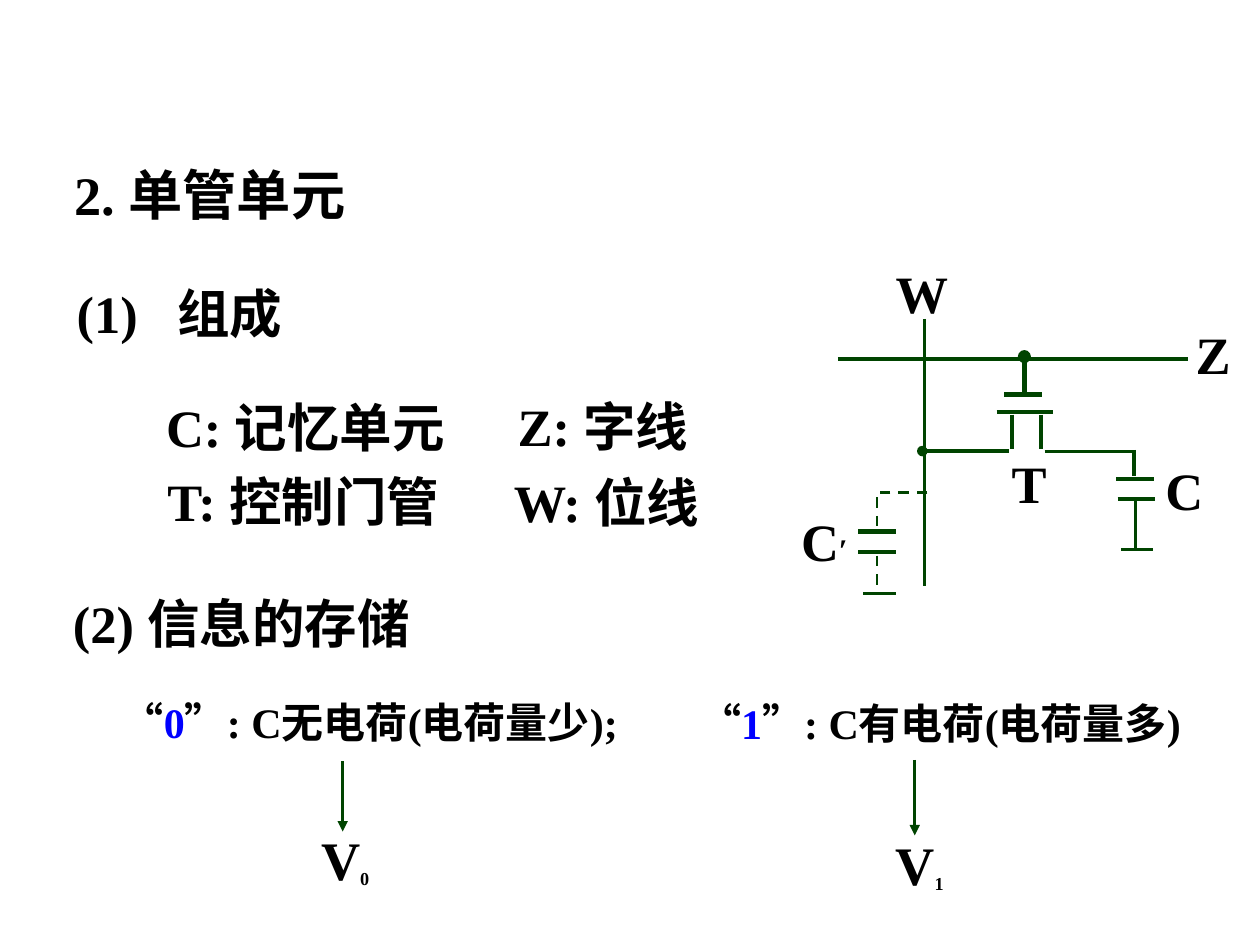
from dataclasses import dataclass

from lxml.etree import SubElement
from pptx import Presentation
from pptx.dml.color import RGBColor
from pptx.enum.dml import MSO_LINE
from pptx.enum.lang import MSO_LANGUAGE_ID
from pptx.enum.shapes import MSO_CONNECTOR
from pptx.enum.text import MSO_ANCHOR, MSO_AUTO_SIZE, PP_ALIGN
from pptx.oxml.ns import qn
from pptx.util import Inches, Pt

FONT = "Times New Roman"
BLACK, BLUE, GREEN = "000000", "0000FF", "004400"


@dataclass
class Span:
    text: str
    size: float = 30
    color: str = BLACK
    baseline: int = 0  # thousandths of a percent


@dataclass
class Label:
    left: float
    top: float
    width: float
    height: float
    spans: list[Span]
    tab: float = 0


@dataclass
class Wire:
    x1: float
    y1: float
    x2: float
    y2: float
    weight: float = 2
    head: str = ""
    tail: str = ""
    dashed: bool = False


def rgb(color: str) -> RGBColor:
    return RGBColor.from_string(color)


def fill_text(shape, label: Label) -> None:
    """Write the spans of a label into a text box or placeholder."""
    frame = shape.text_frame
    frame.word_wrap = True
    frame.auto_size = MSO_AUTO_SIZE.SHAPE_TO_FIT_TEXT
    frame.vertical_anchor = MSO_ANCHOR.TOP
    paragraph = frame.paragraphs[0]
    paragraph.alignment = PP_ALIGN.LEFT
    if label.tab:
        tabs = SubElement(paragraph._p.get_or_add_pPr(), qn("a:tabLst"))
        SubElement(tabs, qn("a:tab"), pos=str(Inches(label.tab)), algn="l")
    for span in label.spans:
        run = paragraph.add_run()
        run.text = span.text
        run.font.name = FONT
        run.font.size = Pt(span.size)
        run.font.bold = True
        run.font.color.rgb = rgb(span.color)
        run.font.language_id = MSO_LANGUAGE_ID.SIMPLIFIED_CHINESE
        if span.baseline:
            run._r.get_or_add_rPr().set("baseline", str(span.baseline))


def add_label(shapes, label: Label) -> None:
    box = shapes.add_textbox(Inches(label.left), Inches(label.top),
                             Inches(label.width), Inches(label.height))
    fill_text(box, label)


def style_line(line, weight: float, dashed: bool) -> None:
    line.color.rgb = rgb(GREEN)
    line.width = Pt(weight)
    if dashed:
        line.dash_style = MSO_LINE.DASH


def add_wire(shapes, wire: Wire) -> None:
    connector = shapes.add_connector(
        MSO_CONNECTOR.STRAIGHT, Inches(wire.x1), Inches(wire.y1),
        Inches(wire.x2), Inches(wire.y2))
    style_line(connector.line, wire.weight, wire.dashed)
    properties = connector._element.spPr
    outline = properties.find(qn("a:ln"))
    for end, kind in (("a:headEnd", wire.head), ("a:tailEnd", wire.tail)):
        if kind:
            SubElement(outline, qn(end), type=kind)
    SubElement(properties, qn("a:effectLst"))


def symbol(left: float, top: float, width: float, text: str) -> Label:
    return Label(left, top, width, 0.6, [Span(text)])


def stored_value(left: float, top: float, width: float,
                 digit: str, meaning: str) -> Label:
    return Label(left, top, width, 0.5, [
        Span("“", 24), Span(digit, 24, BLUE), Span(f"”: {meaning}", 24)])


def voltage(left: float, top: float, digit: str) -> Label:
    return Label(left, top, 1.13, 0.62,
                 [Span("V", 31), Span(digit, 18, baseline=-14000)])


HEADING = Label(0.49, 1.23, 3.83, 0.62, [Span("2. 单管单元", 31)])

NOTES = [
    Label(0.51, 2.18, 2.25, 0.6, [Span("(1)\t组成")], tab=0.8),
    symbol(1.22, 3.09, 2.8, "C: 记忆单元"),
    symbol(1.23, 3.67, 2.83, "T: 控制门管"),
    symbol(4.01, 3.08, 1.75, "Z: 字线"),
    symbol(3.98, 3.68, 1.84, "W: 位线"),
    symbol(0.48, 4.64, 3.57, "(2) 信息的存储"),
    stored_value(0.87, 5.48, 4.9, "0", "C无电荷(电荷量少);"),
    stored_value(5.45, 5.49, 4.54, "1", "C有电荷(电荷量多)"),
    voltage(2.45, 6.51, "0"),
    voltage(7.01, 6.55, "1"),
]

VOLTAGE_ARROWS = [
    Wire(2.72, 6.04, 2.72, 6.6, 1.5, tail="triangle"),
    Wire(7.26, 6.03, 7.26, 6.63, 1.5, tail="triangle"),
]

CELL_WIRES = [
    # Word line and bit line
    Wire(6.65, 2.85, 9.43, 2.85),
    Wire(7.34, 2.53, 7.34, 4.65, 1.75),
    # Transistor gate, channel and legs
    Wire(8.13, 2.83, 8.13, 3.11, 2.5, head="oval"),
    Wire(7.97, 3.13, 8.27, 3.13, 2.5),
    Wire(7.91, 3.27, 8.36, 3.27, 2.5),
    Wire(8.03, 3.29, 8.03, 3.56, 2.5),
    Wire(8.26, 3.29, 8.26, 3.56, 2.5),
    # Leads to the bit line and the capacitor
    Wire(7.32, 3.58, 8.01, 3.58, head="oval"),
    Wire(8.29, 3.58, 9.01, 3.58, 1.75),
    Wire(9, 3.57, 9, 3.78, 1.75),
    # Capacitor plates and ground
    Wire(8.86, 3.8, 9.16, 3.8, 2.5),
    Wire(8.87, 3.96, 9.17, 3.96, 2.5),
    Wire(9.01, 3.97, 9.01, 4.36, 1.75),
    Wire(8.9, 4.36, 9.15, 4.36),
]

CELL_LABELS = [
    symbol(9.15, 3.59, 0.66, "C"),
    symbol(7.01, 2.02, 0.78, "W"),
    symbol(9.39, 2.51, 0.61, "Z"),
    symbol(7.93, 3.53, 0.67, "T"),
]

STRAY_WIRES = [
    Wire(6.81, 4.22, 7.11, 4.22, 2.5),
    Wire(6.81, 4.38, 7.11, 4.38, 2.5),
    Wire(6.96, 4.41, 6.96, 4.68, 1.5, dashed=True),
    Wire(6.85, 4.71, 7.11, 4.71),
]
STRAY_LABEL = Label(6.26, 3.99, 0.66, 0.61, [Span("C"), Span("′", 18)])
STRAY_LEAD = [(7.36, 3.91), (6.96, 3.91), (6.96, 4.23)]


def main() -> None:
    deck = Presentation()
    deck.slide_width, deck.slide_height = Inches(10), Inches(7.5)
    slide = deck.slides.add_slide(deck.slide_layouts[5])

    # Heading and notes
    title = slide.shapes.title
    title.left, title.top = Inches(HEADING.left), Inches(HEADING.top)
    title.width, title.height = Inches(HEADING.width), Inches(HEADING.height)
    fill_text(title, HEADING)
    for note in NOTES:
        add_label(slide.shapes, note)
    for arrow in VOLTAGE_ARROWS:
        add_wire(slide.shapes, arrow)

    # Single-transistor cell and its stray capacitance
    cell = slide.shapes.add_group_shape().shapes
    stray = slide.shapes.add_group_shape().shapes
    for group, wires, labels in ((cell, CELL_WIRES, CELL_LABELS),
                                 (stray, STRAY_WIRES, [STRAY_LABEL])):
        for wire in wires:
            add_wire(group, wire)
        for label in labels:
            add_label(group, label)

    # Dashed lead from the bit line to the stray capacitor
    start, *corners = [(Inches(x), Inches(y)) for x, y in STRAY_LEAD]
    builder = stray.build_freeform(*start)
    builder.add_line_segments(corners, close=False)
    lead = builder.convert_to_shape()
    lead.shadow.inherit = False
    lead.fill.background()
    style_line(lead.line, 1.5, dashed=True)

    deck.save("out.pptx")


if __name__ == "__main__":
    main()
